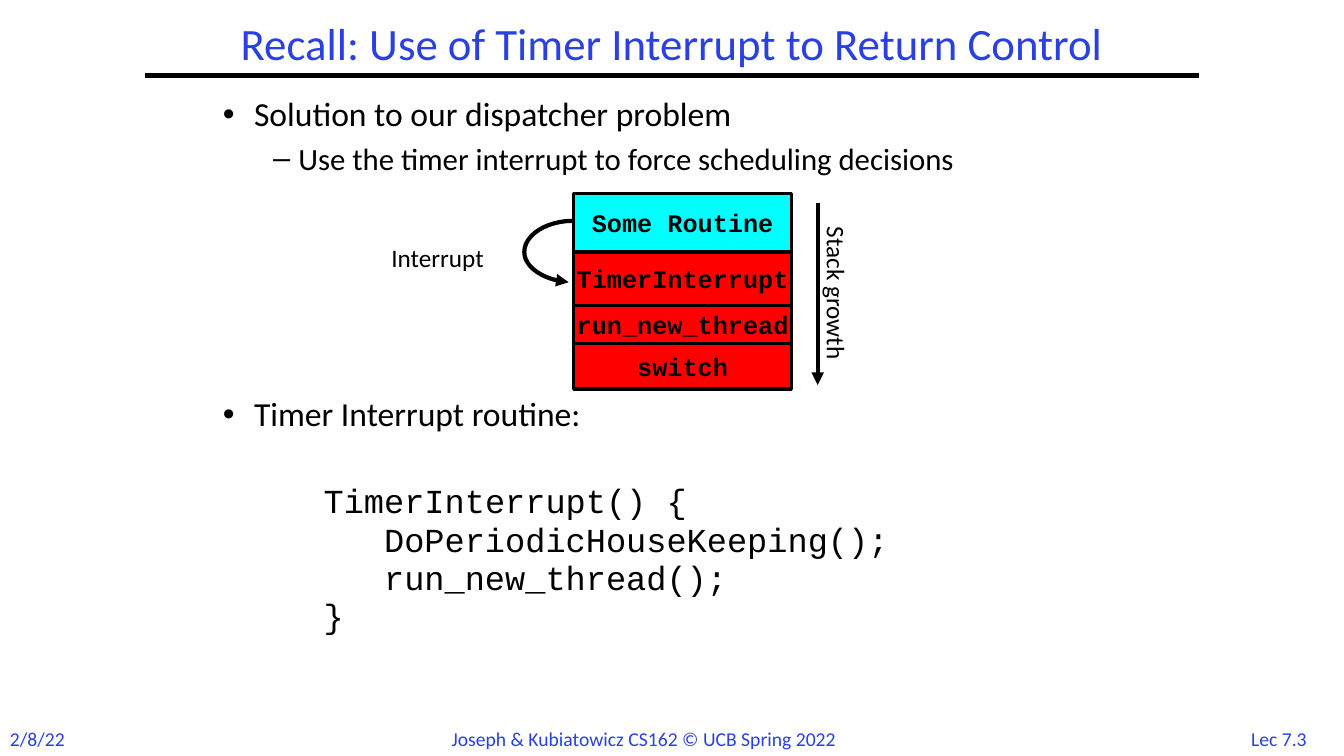
from lxml.etree import SubElement
from pptx import Presentation
from pptx.dml.color import RGBColor
from pptx.enum.shapes import MSO_CONNECTOR as Connector, MSO_SHAPE as Shape
from pptx.enum.text import MSO_ANCHOR as Anchor, MSO_AUTO_SIZE as AutoSize, PP_ALIGN as Align
from pptx.oxml.ns import qn
from pptx.util import Inches, Pt

BLUE, BLACK, CYAN, RED = "2A40E2", "000000", "00FFFF", "FF0000"
SANS, MONO = "Calibri", "Courier New"

TITLE = "Recall: Use of Timer Interrupt to Return Control"
BODY = [
    # text, level, size, font, bullet, left, hanging, line spacing, space before
]
BODY = [
    ("Solution to our dispatcher problem", 0, 24, SANS, "•", 0.31, 0.31, 0.9, 0),
    ("Use the timer interrupt to force scheduling decisions", 1, 22, SANS, "–", 0.75, 0.25, 0.9, 6.7),
    ("Timer Interrupt routine:", 0, 24, SANS, "•", 0.31, 0.31, 0.9, 158),
    ("TimerInterrupt() {", 0, 24, MONO, None, 1, 0, 0.95, 35),
    ("DoPeriodicHouseKeeping();", 0, 24, MONO, None, 1.6, 0, 0.95, 0),
    ("run_new_thread();", 0, 24, MONO, None, 1.6, 0, 0.95, 0),
    ("}", 0, 24, MONO, None, 1, 0, 0.95, 0),
]
LABELS = [
    ("2/8/22", 0, 7.16, 0.75, 0.34, 14, BLUE, Align.LEFT, 0),
    ("Joseph & Kubiatowicz CS162 © UCB Spring 2022", 4.38, 7.16, 4.55, 0.34, 14, BLUE, Align.LEFT, 0),
    ("Lec 7.3", 12.2, 7.16, 0.97, 0.33, 14, BLUE, Align.CENTER, 0),
    ("Interrupt", 3.77, 2.35, 1.14, 0.4, 18, BLACK, Align.CENTER, 0),
    ("Stack growth", 7.47, 2.71, 1.66, 0.4, 18, BLACK, Align.CENTER, 90),
]
FRAMES = [
    ("Some Routine", 0.58, CYAN),
    ("TimerInterrupt", 0.53, RED),
    ("run_new_thread", 0.38, RED),
    ("switch", 0.45, RED),
]
STACK_LEFT, STACK_TOP, STACK_WIDTH = 5.69, 1.92, 2.16
LINES = [
    ((1.44, 0.75), (11.89, 0.75), False),
    ((8.11, 2.01), (8.11, 3.82), True),
]
INTERRUPT_CURVES = [
    ((5.69, 2.19), (5.42, 2.19), (5.2, 2.33), (5.2, 2.5)),
    ((5.2, 2.5), (5.2, 2.65), (5.39, 2.78), (5.64, 2.8)),
]
CURVE_STEPS = 12


def color(value):
    return RGBColor.from_string(value)


def add_span(para, text, size, font, tint, bold=False):
    span = para.add_run()
    span.text = text
    span.font.size = Pt(size)
    span.font.name = font
    span.font.bold = bold
    span.font.color.rgb = color(tint)


def place(shape, left, top, width, height):
    shape.left, shape.top = Inches(left), Inches(top)
    shape.width, shape.height = Inches(width), Inches(height)


def set_line(shape, width):
    shape.line.color.rgb = color(BLACK)
    shape.line.width = Pt(width)


def add_arrowhead(shape):
    outline = shape.line._get_or_add_ln()
    SubElement(outline, qn("a:tailEnd"), type="triangle")


def set_bullet(para, bullet, left, hanging):
    props = para._p.get_or_add_pPr()
    props.set("marL", str(Inches(left)))
    props.set("indent", str(-Inches(hanging)))
    if bullet:
        SubElement(props, qn("a:buChar"), char=bullet)
    else:
        SubElement(props, qn("a:buNone"))


def add_title(page):
    title = page.shapes.title
    place(title, 1.83, 0.17, 9.67, 0.58)
    frame = title.text_frame
    frame.auto_size = AutoSize.NONE
    frame.vertical_anchor = Anchor.MIDDLE
    para = frame.paragraphs[0]
    para.alignment = Align.CENTER
    para.line_spacing = 0.9
    add_span(para, TITLE, 32, SANS, BLUE)


def add_body(page):
    body = page.placeholders[1]
    place(body, 2.11, 0.92, 9, 6.31)
    frame = body.text_frame
    frame.auto_size = AutoSize.NONE
    for index, (text, level, size, font, bullet, left, hanging, spacing, before) in enumerate(BODY):
        para = frame.add_paragraph() if index else frame.paragraphs[0]
        para.level = level
        para.line_spacing = spacing
        para.space_before = Pt(before)
        set_bullet(para, bullet, left, hanging)
        add_span(para, text, size, font, BLACK)


def add_label(page, text, left, top, width, height, size, tint, align, turn):
    box = page.shapes.add_textbox(*map(Inches, (left, top, width, height)))
    box.rotation = turn
    box.text_frame.word_wrap = False
    para = box.text_frame.paragraphs[0]
    para.alignment = align
    add_span(para, text, size, SANS, tint)


def add_stack(page):
    top = STACK_TOP
    for text, height, fill in FRAMES:
        box = page.shapes.add_shape(Shape.RECTANGLE, *map(Inches, (STACK_LEFT, top, STACK_WIDTH, height)))
        box.shadow.inherit = False
        box.fill.solid()
        box.fill.fore_color.rgb = color(fill)
        set_line(box, 2.25)
        frame = box.text_frame
        frame.word_wrap = False
        frame.vertical_anchor = Anchor.MIDDLE
        para = frame.paragraphs[0]
        para.alignment = Align.CENTER
        add_span(para, text, 18, MONO, BLACK, True)
        top += height


def add_line(page, start, end, arrow):
    line = page.shapes.add_connector(Connector.STRAIGHT, *map(Inches, start + end))
    set_line(line, 3)
    if arrow:
        add_arrowhead(line)
    SubElement(line._element.spPr, qn("a:effectLst"))


def curve_point(curve, t):
    weights = ((1 - t) ** 3, 3 * t * (1 - t) ** 2, 3 * t ** 2 * (1 - t), t ** 3)
    return tuple(Inches(sum(w * p[axis] for w, p in zip(weights, curve))) for axis in (0, 1))


def add_interrupt_arrow(page):
    points = [curve_point(curve, step / CURVE_STEPS)
              for curve in INTERRUPT_CURVES for step in range(1, CURVE_STEPS + 1)]
    builder = page.shapes.build_freeform(*curve_point(INTERRUPT_CURVES[0], 0), scale=1.0)
    builder.add_line_segments(points, close=False)
    arrow = builder.convert_to_shape()
    arrow.shadow.inherit = False
    arrow.fill.background()
    set_line(arrow, 3)
    add_arrowhead(arrow)


def main():
    deck = Presentation()
    deck.slide_width, deck.slide_height = Inches(13.33), Inches(7.5)
    page = deck.slides.add_slide(deck.slide_layouts[1])
    add_title(page)
    add_body(page)
    add_stack(page)
    add_interrupt_arrow(page)
    for line in LINES:
        add_line(page, *line)
    for label in LABELS:
        add_label(page, *label)
    deck.save("out.pptx")


if __name__ == "__main__":
    main()
